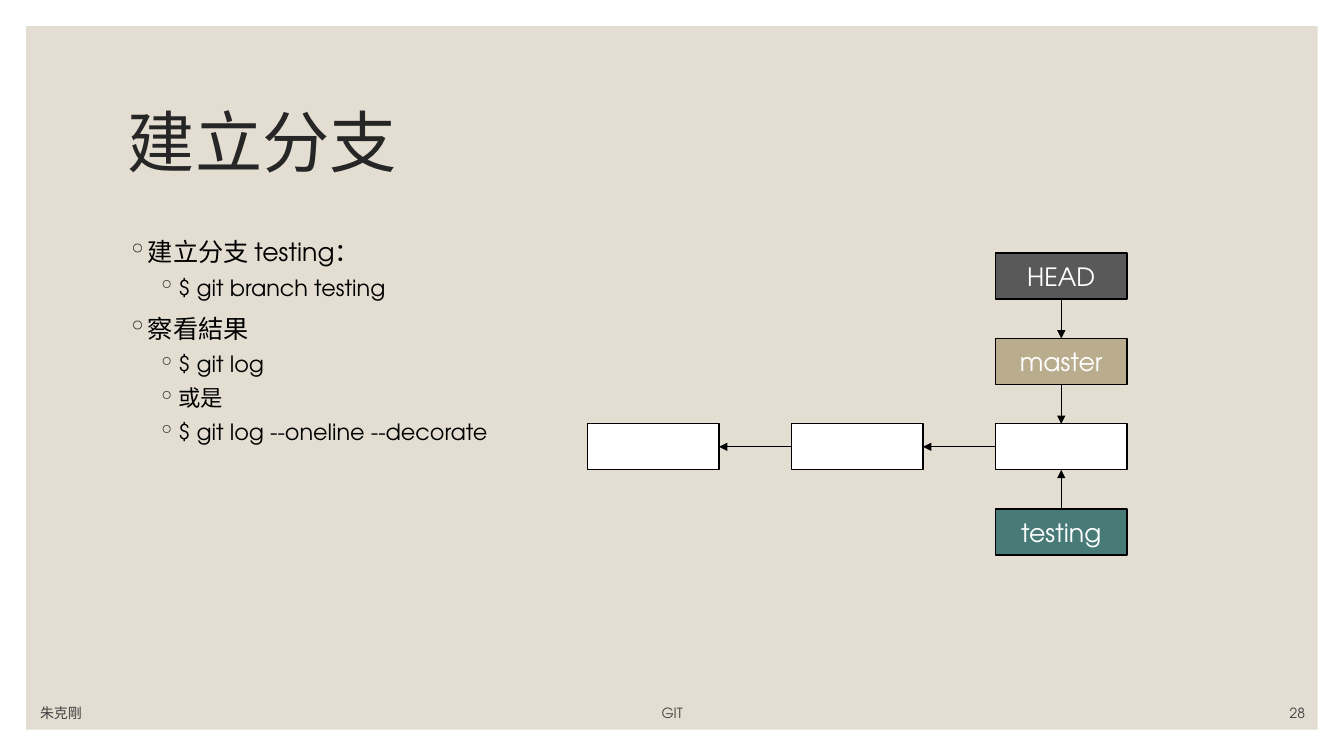
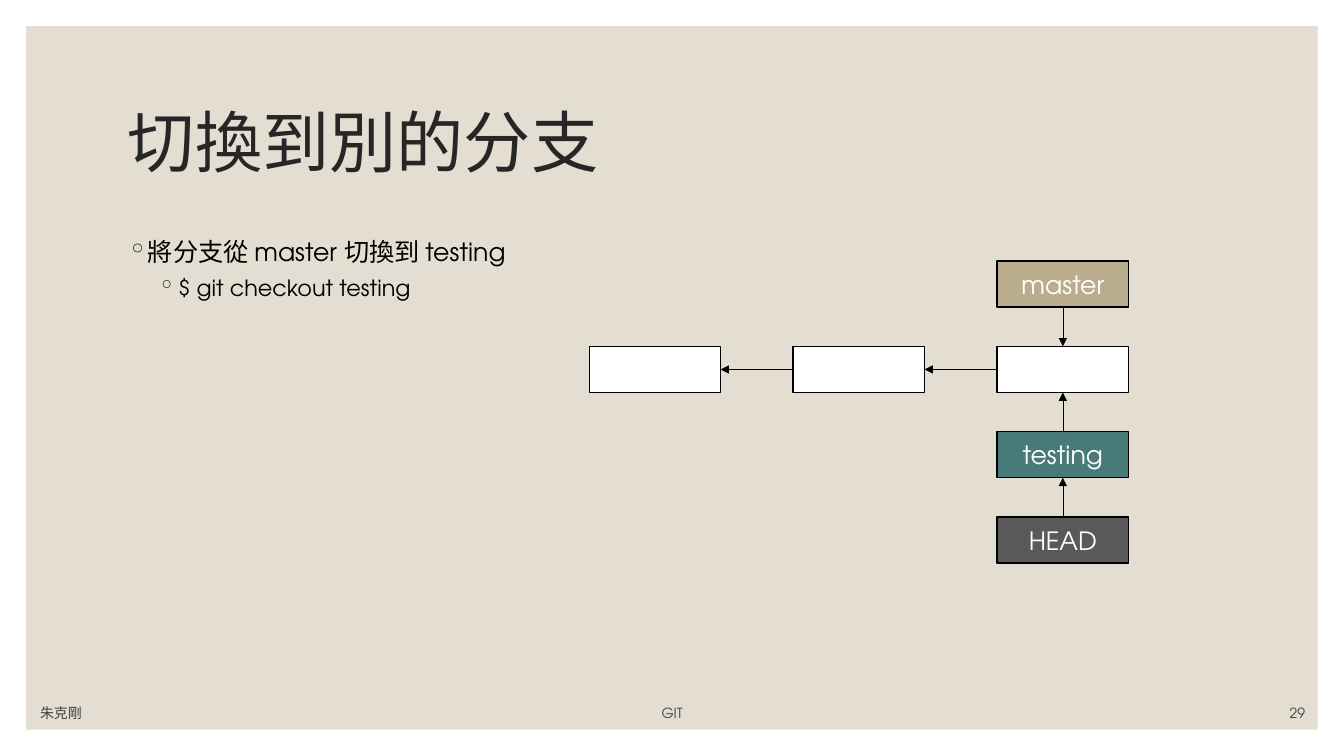
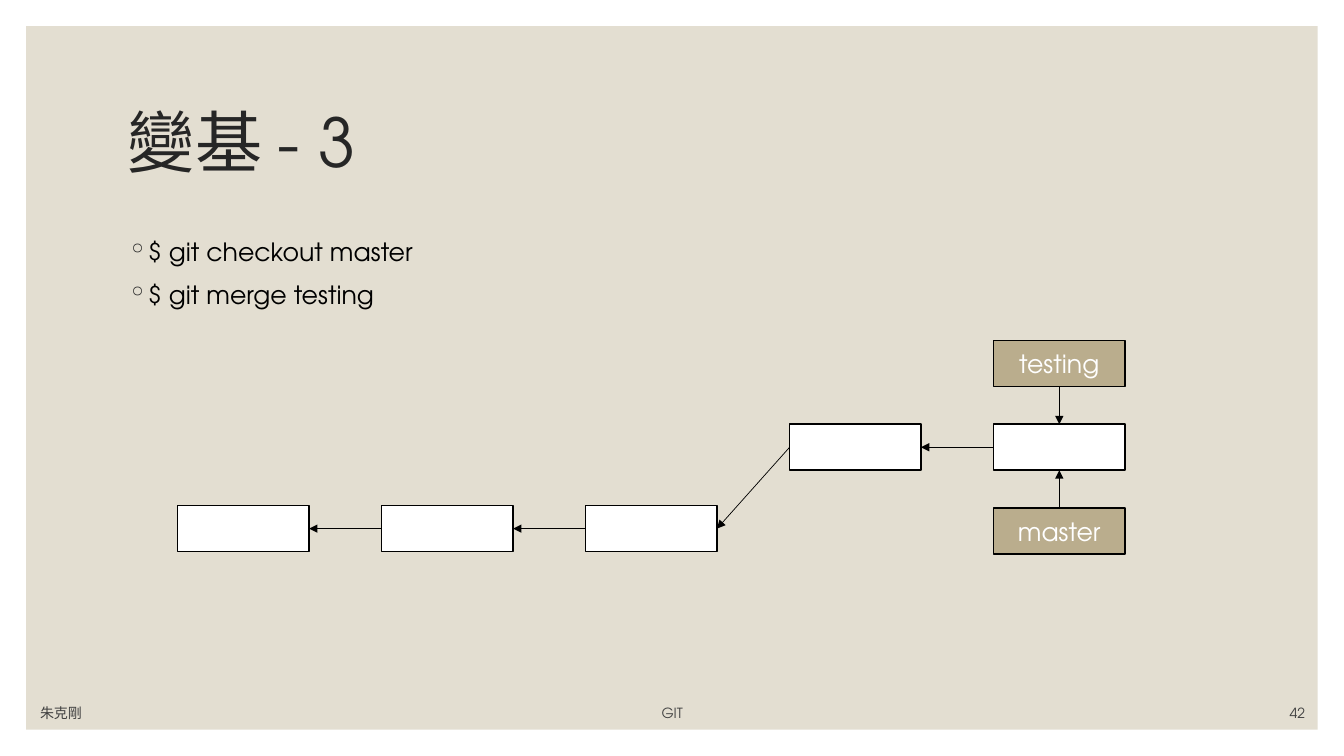
from dataclasses import dataclass
from enum import IntEnum

from lxml.etree import SubElement
from pptx import Presentation
from pptx.dml.color import RGBColor
from pptx.enum.shapes import MSO_CONNECTOR as Connector, MSO_SHAPE as Preset
from pptx.enum.text import MSO_ANCHOR as Anchor, MSO_AUTO_SIZE as AutoSize, PP_ALIGN as Align
from pptx.oxml.ns import qn
from pptx.util import Cm, Pt


@dataclass(frozen=True)
class Theme:
    font: str = "TeX Gyre Adventor"
    panel: str = "E3DED1"
    title: str = "262626"
    body: str = "000000"
    footer: str = "404040"
    line: str = "000000"
    commit: str = "FFFFFF"
    head: str = "595959"
    sand: str = "BAAD8D"
    teal: str = "487B78"
    label: str = "FFFFFF"
    title_size: float = 48
    label_size: float = 18
    footer_size: float = 10
    body_sizes: tuple = (18, 16)
    body_indents: tuple = (0.51, 1.27)
    body_spacing: tuple = (9, 5)
    hanging: float = 0.51


class Side(IntEnum):
    TOP = 0
    LEFT = 1
    BOTTOM = 2
    RIGHT = 3


THEME = Theme()
SLIDE_WIDTH, SLIDE_HEIGHT = 33.87, 19.05
PANEL_MARGIN = 0.66
NODE_WIDTH, NODE_HEIGHT = 3.31, 1.16
COLUMN_PITCH = 5.14
FOOTER_TOP, FOOTER_HEIGHT = 17.53, 0.76
FOOTER_AUTHOR, FOOTER_TOPIC = "朱克剛", "GIT"


@dataclass(frozen=True)
class Grid:
    left: float
    top: float
    row_pitch: float = 2.15

    def place(self, column, row):
        return self.left + column * COLUMN_PITCH, self.top + row * self.row_pitch


def color(value):
    return RGBColor.from_string(value)


def add_run(paragraph, text, size, text_color):
    run = paragraph.add_run()
    run.text = text
    run.font.name = THEME.font
    run.font.size = Pt(size)
    run.font.color.rgb = color(text_color)


def add_rectangle(slide, left, top, width, height, fill):
    shape = slide.shapes.add_shape(Preset.RECTANGLE, Cm(left), Cm(top), Cm(width), Cm(height))
    shape.shadow.inherit = False
    shape.fill.solid()
    shape.fill.fore_color.rgb = color(fill)
    return shape


def add_text_box(slide, left, top, width, height, anchor):
    box = slide.shapes.add_textbox(Cm(left), Cm(top), Cm(width), Cm(height))
    frame = box.text_frame
    frame.word_wrap = True
    frame.vertical_anchor = anchor
    return frame


def prepare_layout(presentation, layout):
    for placeholder in list(layout.placeholders):
        if placeholder.placeholder_format.idx != 0:
            layout.shapes.element.remove(placeholder.element)
    slide = presentation.slides.add_slide(layout)
    panel = add_rectangle(slide, PANEL_MARGIN, PANEL_MARGIN, SLIDE_WIDTH - 2 * PANEL_MARGIN,
                          SLIDE_HEIGHT - 2 * PANEL_MARGIN, THEME.panel)
    panel.line.fill.background()
    layout.shapes.element.insert(2, panel.element)
    return slide


def set_title(slide, text):
    title = slide.shapes.title
    title.left, title.top, title.width, title.height = Cm(2.97), Cm(1.78), Cm(27.94), Cm(3.81)
    frame = title.text_frame
    frame.auto_size = AutoSize.NONE
    frame.vertical_anchor = Anchor.MIDDLE
    paragraph = frame.paragraphs[0]
    paragraph.alignment = Align.LEFT
    paragraph.line_spacing = 0.9
    add_run(paragraph, text, THEME.title_size, THEME.title)


def add_bullet(paragraph, level):
    properties = paragraph._p.get_or_add_pPr()
    properties.set("marL", str(Cm(THEME.body_indents[level])))
    properties.set("indent", str(-Cm(THEME.hanging)))
    bullet_color = SubElement(properties, qn("a:buClr"))
    SubElement(bullet_color, qn("a:srgbClr"), val=THEME.title)
    SubElement(properties, qn("a:buChar"), char="◦")


def add_body(slide, items):
    frame = add_text_box(slide, 2.97, 5.84, 27.94, 10.92, Anchor.TOP)
    for index, (level, text) in enumerate(items):
        paragraph = frame.add_paragraph() if index else frame.paragraphs[0]
        paragraph.level = level
        add_bullet(paragraph, level)
        if index:
            paragraph.space_before = Pt(THEME.body_spacing[level])
        add_run(paragraph, text, THEME.body_sizes[level], THEME.body)


def add_footer(slide, number):
    for left, width, alignment, text in (
        (0.76, 7.62, Align.LEFT, FOOTER_AUTHOR),
        (9.7, 14.48, Align.CENTER, FOOTER_TOPIC),
        (29.08, 4.06, Align.RIGHT, str(number)),
    ):
        frame = add_text_box(slide, left, FOOTER_TOP, width, FOOTER_HEIGHT, Anchor.BOTTOM)
        paragraph = frame.paragraphs[0]
        paragraph.alignment = alignment
        add_run(paragraph, text, THEME.footer_size, THEME.footer)


def add_node(slide, position, fill=THEME.commit, label=None):
    node = add_rectangle(slide, *position, NODE_WIDTH, NODE_HEIGHT, fill)
    node.line.color.rgb = color(THEME.line)
    node.line.width = Pt(1)
    if label:
        node.text_frame.vertical_anchor = Anchor.MIDDLE
        paragraph = node.text_frame.paragraphs[0]
        paragraph.alignment = Align.CENTER
        add_run(paragraph, label, THEME.label_size, THEME.label)
    return node


def add_arrow(slide, start, start_side, end, end_side):
    arrow = slide.shapes.add_connector(Connector.STRAIGHT, Cm(0), Cm(0), Cm(0), Cm(0))
    arrow.begin_connect(start, start_side)
    arrow.end_connect(end, end_side)
    arrow.line.color.rgb = color(THEME.line)
    arrow.line.width = Pt(0.5)
    properties = arrow.element.spPr
    SubElement(properties.find(qn("a:ln")), qn("a:tailEnd"), type="triangle")
    SubElement(properties, qn("a:effectLst"))


def point_down(slide, upper, lower):
    add_arrow(slide, upper, Side.BOTTOM, lower, Side.TOP)


def point_up(slide, lower, upper):
    add_arrow(slide, lower, Side.TOP, upper, Side.BOTTOM)


def add_history(slide, positions):
    commits = [add_node(slide, position) for position in positions]
    for parent, child in zip(commits, commits[1:]):
        add_arrow(slide, child, Side.LEFT, parent, Side.RIGHT)
    return commits


def fill_slide(slide, title, items, number):
    set_title(slide, title)
    add_body(slide, items)
    add_footer(slide, number)


def draw_create_branch(slide):
    grid = Grid(14.81, 6.38)
    latest = add_history(slide, [grid.place(column, 2) for column in range(3)])[-1]
    head = add_node(slide, grid.place(2, 0), THEME.head, "HEAD")
    master = add_node(slide, grid.place(2, 1), THEME.sand, "master")
    testing = add_node(slide, grid.place(2, 3), THEME.teal, "testing")
    point_down(slide, head, master)
    point_down(slide, master, latest)
    point_up(slide, testing, latest)


def draw_switch_branch(slide):
    grid = Grid(14.85, 6.58)
    latest = add_history(slide, [grid.place(column, 1) for column in range(3)])[-1]
    master = add_node(slide, grid.place(2, 0), THEME.sand, "master")
    testing = add_node(slide, grid.place(2, 2), THEME.teal, "testing")
    head = add_node(slide, grid.place(2, 3), THEME.head, "HEAD")
    point_down(slide, master, latest)
    point_up(slide, testing, latest)
    point_up(slide, head, testing)


def draw_rebase(slide):
    base = Grid(4.48, 12.74)
    rebased = Grid(4.48, 8.58, 2.11)
    positions = [base.place(column, 0) for column in range(3)]
    positions += [rebased.place(column, 1) for column in (3, 4)]
    latest = add_history(slide, positions)[-1]
    testing = add_node(slide, rebased.place(4, 0), THEME.sand, "testing")
    master = add_node(slide, rebased.place(4, 2), THEME.sand, "master")
    point_down(slide, testing, latest)
    point_up(slide, master, latest)


def main():
    presentation = Presentation()
    presentation.slide_width, presentation.slide_height = Cm(SLIDE_WIDTH), Cm(SLIDE_HEIGHT)
    layout = presentation.slide_layouts.get_by_name("Title Only")

    create = prepare_layout(presentation, layout)
    fill_slide(create, "建立分支", [
        (0, "建立分支 testing："),
        (1, "$ git branch testing"),
        (0, "察看結果"),
        (1, "$ git log"),
        (1, "或是"),
        (1, "$ git log --oneline --decorate"),
    ], 28)
    draw_create_branch(create)

    switch = presentation.slides.add_slide(layout)
    fill_slide(switch, "切換到別的分支", [
        (0, "將分支從 master 切換到 testing"),
        (1, "$ git checkout testing"),
    ], 29)
    draw_switch_branch(switch)

    rebase = presentation.slides.add_slide(layout)
    fill_slide(rebase, "變基 - 3", [
        (0, "$ git checkout master"),
        (0, "$ git merge testing"),
    ], 42)
    draw_rebase(rebase)

    presentation.save("out.pptx")


if __name__ == "__main__":
    main()
